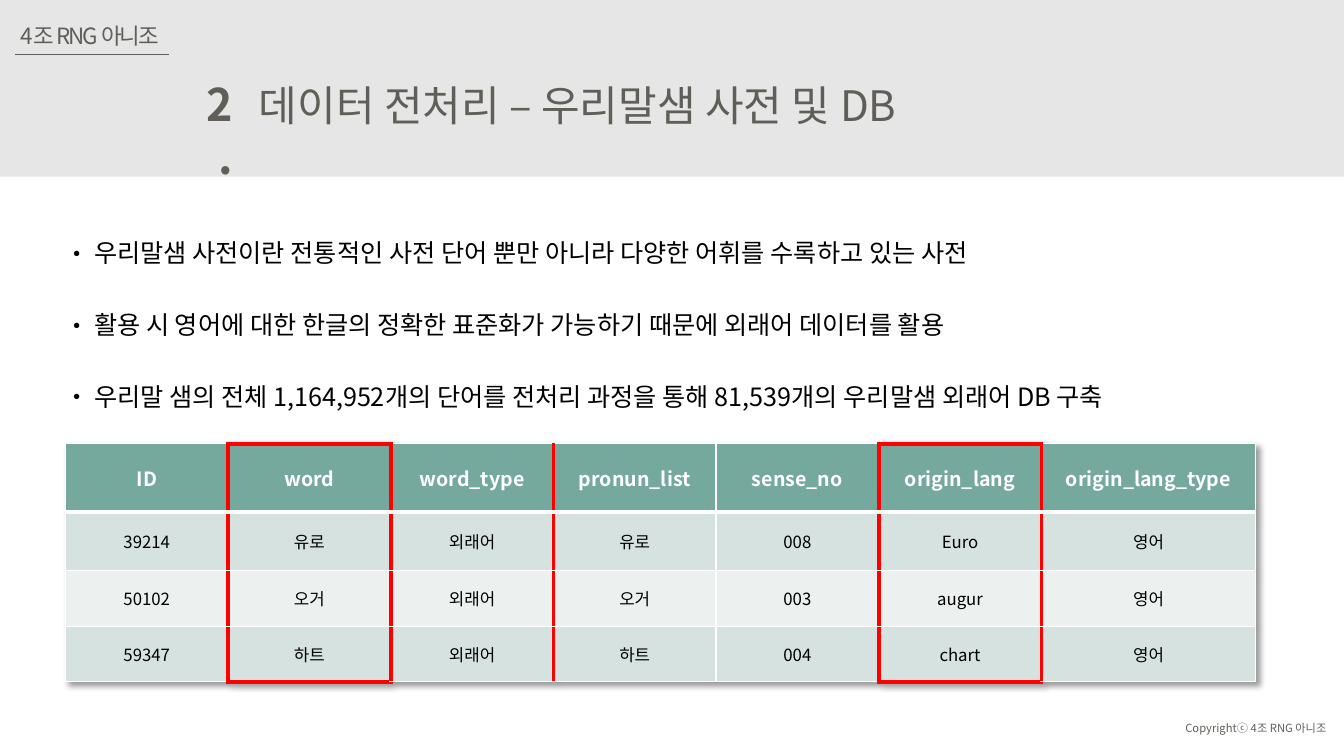
from dataclasses import dataclass

from lxml import etree
from pptx import Presentation
from pptx.dml.color import RGBColor
from pptx.enum.shapes import MSO_CONNECTOR, MSO_SHAPE
from pptx.enum.text import MSO_ANCHOR, MSO_AUTO_SIZE, PP_ALIGN
from pptx.oxml.ns import qn
from pptx.util import Cm, Pt

LEFT, CENTER, RIGHT = PP_ALIGN.LEFT, PP_ALIGN.CENTER, PP_ALIGN.RIGHT
JUSTIFY = PP_ALIGN.JUSTIFY
TOP, MIDDLE = MSO_ANCHOR.TOP, MSO_ANCHOR.MIDDLE
NO_AUTOFIT = MSO_AUTO_SIZE.NONE
STRAIGHT, RECTANGLE = MSO_CONNECTOR.STRAIGHT, MSO_SHAPE.RECTANGLE

FONT = "Noto Sans CJK KR"
COLORS = {
    "banner": "E7E6E6",
    "heading": "5F5E58",
    "body": "000000",
    "white": "FFFFFF",
    "header": "75A99E",
    "band_dark": "D6E2DF",
    "band_light": "ECF1F0",
    "highlight": "FF0000",
}


@dataclass
class Label:
    text: str
    left: float
    top: float
    width: float
    height: float
    size: float
    bold: bool = False
    align: PP_ALIGN = LEFT
    spacing: int = 0


TITLE = Label("데이터 전처리 – 우리말샘 사전 및 DB", 6.27, 1.88, 18.6, 1.55, 30)
LABELS = [
    Label("4조 RNG 아니조", 0.28, 0.43, 4.17, 0.94, 16, spacing=-150),
    Label("2.", 4.65, 1.8, 1.47, 1.63, 32, bold=True, align=RIGHT),
    Label("Copyrightⓒ 4조 RNG 아니조", 29.62, 18.06, 4.06, 0.61, 8, align=RIGHT),
]
BULLETS = [
    "우리말샘 사전이란 전통적인 사전 단어 뿐만 아니라 다양한 어휘를 수록하고 있는 사전",
    "활용 시 영어에 대한 한글의 정확한 표준화가 가능하기 때문에 외래어 데이터를 활용",
    "우리말 샘의 전체 1,164,952개의 단어를 전처리 과정을 통해 81,539개의 우리말샘 외래어 DB 구축",
]
ROWS = [
    ["ID", "word", "word_type", "pronun_list", "sense_no", "origin_lang", "origin_lang_type"],
    ["39214", "유로", "외래어", "유로", "008", "Euro", "영어"],
    ["50102", "오거", "외래어", "오거", "003", "augur", "영어"],
    ["59347", "하트", "외래어", "하트", "004", "chart", "영어"],
]
COLUMN_WIDTHS = [4.1] * 6 + [5.4]
ROW_HEIGHTS = [1.73, 1.47, 1.4, 1.4]
FRAMED_COLUMNS = {1, 5}
RED_EDGES = {1, 2, 3, 5, 6}


def color(name: str) -> RGBColor:
    return RGBColor.from_string(COLORS[name])


def format_font(font, size: float, color_name: str, bold: bool = False) -> None:
    for name, value in {"name": FONT, "size": Pt(size), "bold": bold}.items():
        setattr(font, name, value)
    font.color.rgb = color(color_name)


def write(paragraph, text: str, size: float, color_name: str, bold: bool = False):
    """Add one run that uses the same font for Latin and Korean letters."""
    run = paragraph.add_run()
    run.text = text
    format_font(run.font, size, color_name, bold)
    properties = run.font._element
    etree.SubElement(properties, qn("a:ea"), typeface=FONT)
    return properties


def fill_label(shape, label: Label) -> None:
    for name in ("left", "top", "width", "height"):
        setattr(shape, name, Cm(getattr(label, name)))
    frame = shape.text_frame
    settings = {"word_wrap": True, "auto_size": NO_AUTOFIT, "vertical_anchor": TOP}
    for name, value in settings.items():
        setattr(frame, name, value)
    paragraph = frame.paragraphs[0]
    paragraph.alignment = label.align
    paragraph.line_spacing = 1.0
    properties = write(paragraph, label.text, label.size, "heading", label.bold)
    if label.spacing:
        properties.set("spc", str(label.spacing))


def add_banner(slide) -> None:
    banner = slide.shapes.add_shape(RECTANGLE, 0, Cm(-0.1), Cm(33.87), Cm(4.55))
    banner.shadow.inherit = False
    banner.fill.solid()
    banner.fill.fore_color.rgb = color("banner")
    banner.line.fill.background()
    title_element = slide.shapes.title._element
    title_element.addprevious(banner._element)


def add_rule(slide) -> None:
    rule = slide.shapes.add_connector(STRAIGHT, Cm(0.38), Cm(1.37), Cm(4.27), Cm(1.37))
    rule.line.color.rgb = color("heading")
    rule.line.width = Pt(0.5)
    etree.SubElement(rule._element.spPr, qn("a:effectLst"))


def add_bullets(slide) -> None:
    box = slide.shapes.add_textbox(Cm(1.37), Cm(5.1), Cm(30.56), Cm(5.18))
    frame = box.text_frame
    frame.word_wrap = True
    for index, text in enumerate(BULLETS):
        paragraph = frame.add_paragraph() if index else frame.paragraphs[0]
        settings = {"alignment": JUSTIFY, "line_spacing": 2.0, "space_after": Pt(8)}
        for name, value in settings.items():
            setattr(paragraph, name, value)
        properties = paragraph._element.get_or_add_pPr()
        properties.set("marL", str(Cm(0.75)))
        properties.set("indent", str(-Cm(0.75)))
        etree.SubElement(properties, qn("a:buFont"), typeface=FONT)
        etree.SubElement(properties, qn("a:buChar"), char="‧")
        write(paragraph, text, 18, "body")


def add_border(cell, side: str, color_name: str, width: float) -> None:
    properties = cell._tc.get_or_add_tcPr()
    line = etree.SubElement(properties, qn(f"a:ln{side}"), w=str(Pt(width)))
    fill = etree.SubElement(line, qn("a:solidFill"))
    etree.SubElement(fill, qn("a:srgbClr"), val=COLORS[color_name])


def vertical_border(edge: int) -> tuple[str, float]:
    return ("highlight", 3) if edge in RED_EDGES else ("white", 1)


def horizontal_border(edge: int, column: int) -> tuple[str, float]:
    if edge in (0, len(ROWS)) and column in FRAMED_COLUMNS:
        return "highlight", 3
    return "white", 3 if edge == 1 else 1


def add_table_shadow(table) -> None:
    effects = etree.Element(qn("a:effectLst"))
    shadow = etree.SubElement(effects, qn("a:outerShdw"), blurRad=str(Pt(4)),
                              dist=str(Pt(3)), dir="2700000", algn="tl", rotWithShape="0")
    shade = etree.SubElement(shadow, qn("a:srgbClr"), val=COLORS["body"])
    etree.SubElement(shade, qn("a:alpha"), val="40000")
    table._tbl.tblPr.insert(0, effects)


def add_word_table(slide) -> None:
    frame = slide.shapes.add_table(len(ROWS), len(COLUMN_WIDTHS), Cm(1.65), Cm(11.18),
                                   Cm(sum(COLUMN_WIDTHS)), Cm(sum(ROW_HEIGHTS)))
    table = frame.table
    add_table_shadow(table)
    for column, width in zip(table.columns, COLUMN_WIDTHS):
        column.width = Cm(width)
    for row_index, (texts, height) in enumerate(zip(ROWS, ROW_HEIGHTS)):
        table.rows[row_index].height = Cm(height)
        is_header = row_index == 0
        band = "header" if is_header else ("band_light", "band_dark")[row_index % 2]
        for column_index, text in enumerate(texts):
            cell = table.cell(row_index, column_index)
            add_border(cell, "L", *vertical_border(column_index))
            add_border(cell, "R", *vertical_border(column_index + 1))
            add_border(cell, "T", *horizontal_border(row_index, column_index))
            add_border(cell, "B", *horizontal_border(row_index + 1, column_index))
            cell.fill.solid()
            cell.fill.fore_color.rgb = color(band)
            cell.vertical_anchor = MIDDLE
            paragraph = cell.text_frame.paragraphs[0]
            paragraph.alignment = CENTER
            write(paragraph, text, 14 if is_header else 12,
                  "white" if is_header else "body", is_header)


def main() -> None:
    presentation = Presentation()
    presentation.slide_width, presentation.slide_height = Cm(33.87), Cm(19.05)
    slide = presentation.slides.add_slide(presentation.slide_layouts[5])
    add_banner(slide)
    fill_label(slide.shapes.title, TITLE)
    for label in LABELS:
        fill_label(slide.shapes.add_textbox(0, 0, 0, 0), label)
    add_rule(slide)
    add_word_table(slide)
    add_bullets(slide)
    presentation.save("out.pptx")


if __name__ == "__main__":
    main()
